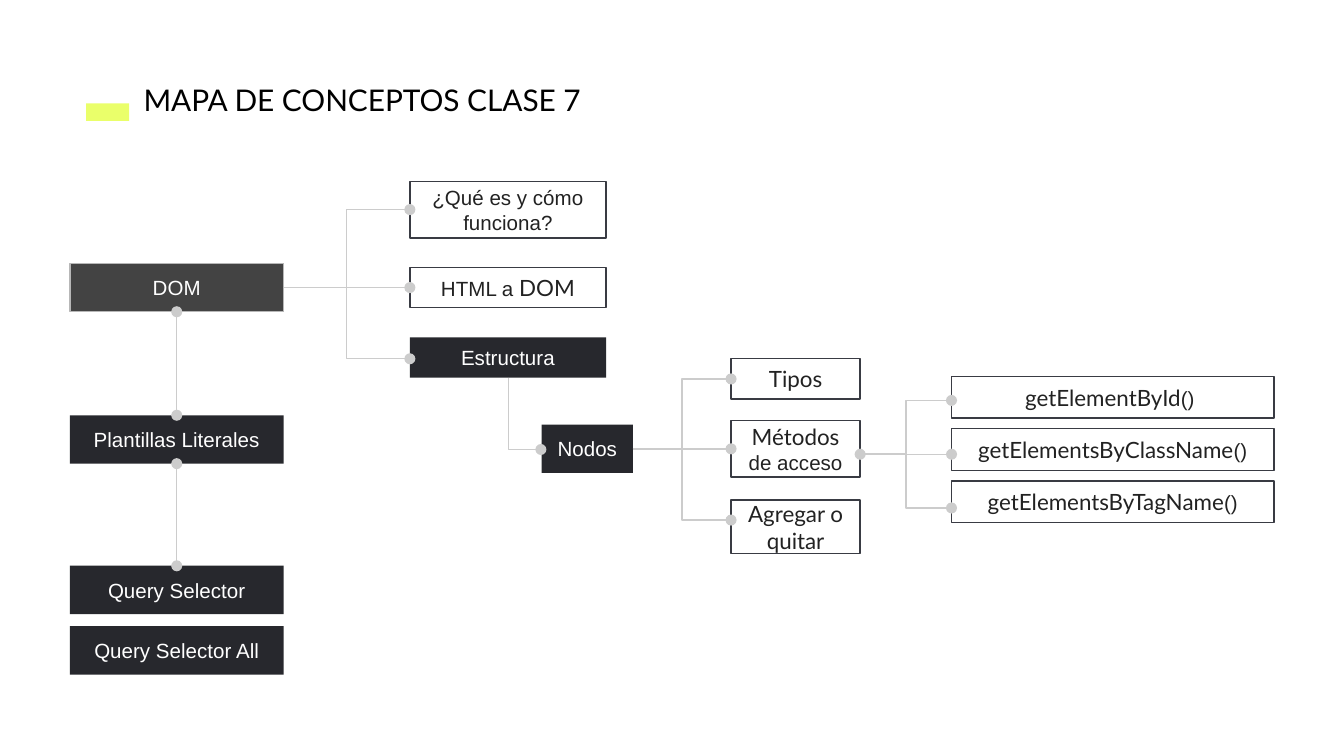
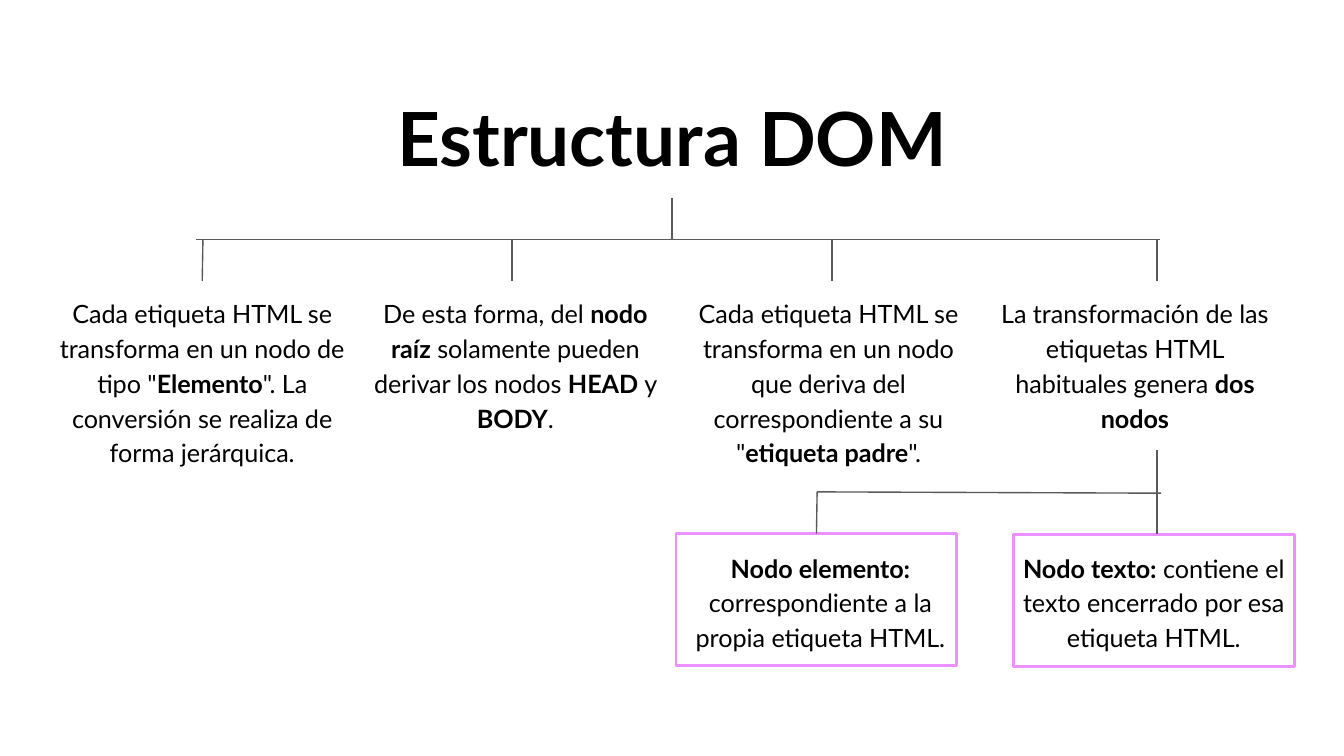
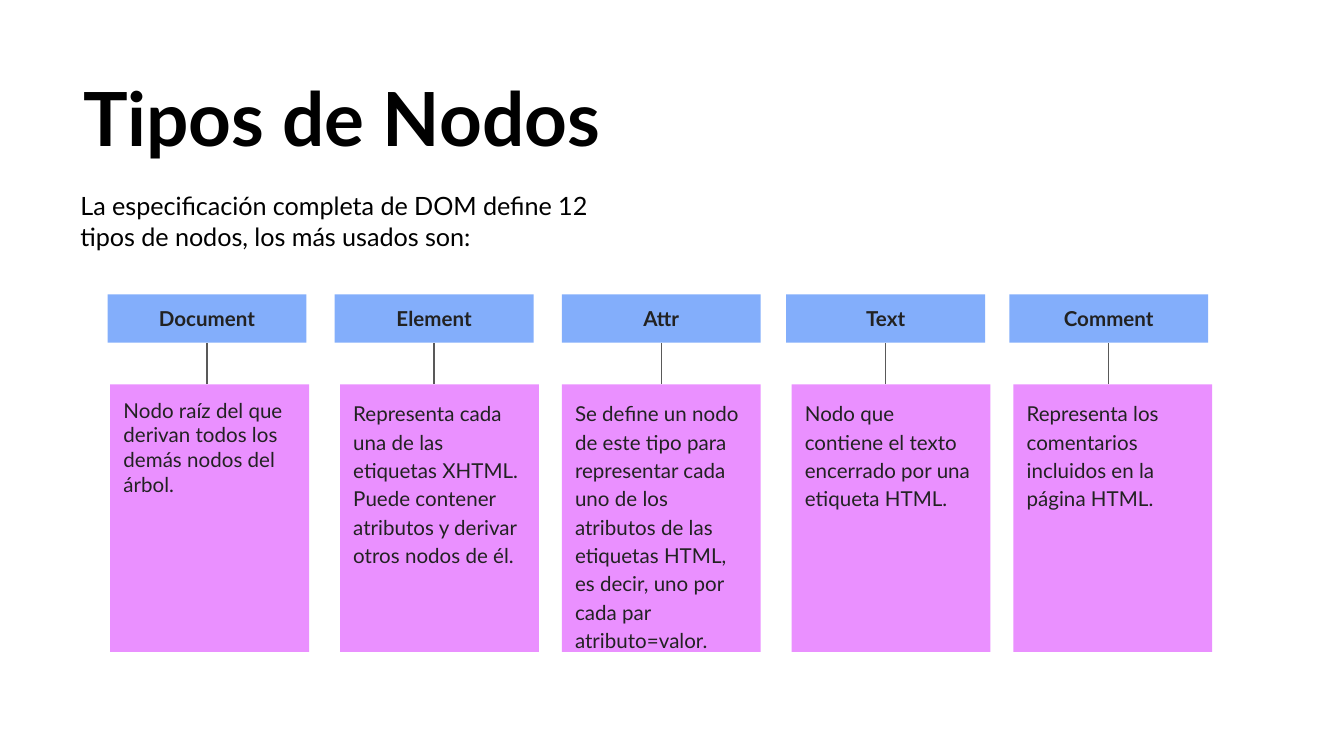
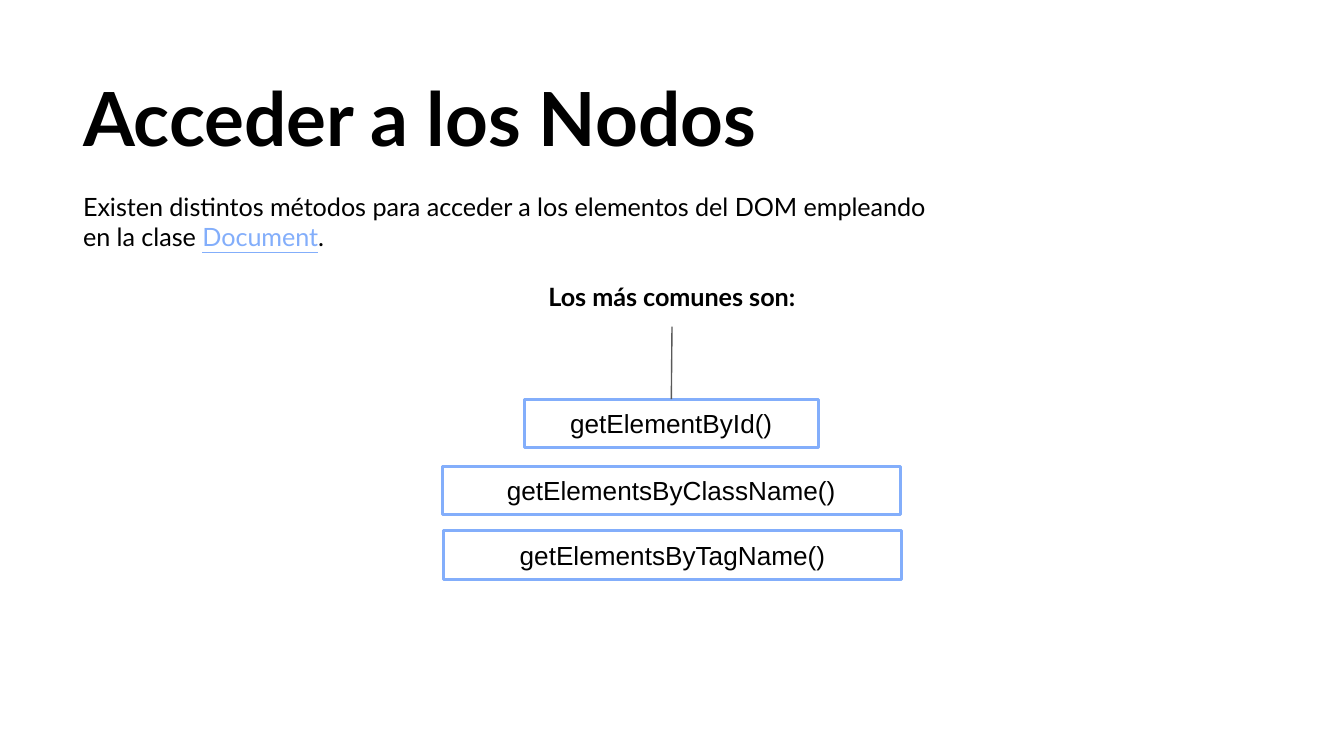
import lxml.etree
import pptx
import pptx.dml.color
import pptx.enum.shapes
import pptx.enum.text
import pptx.oxml.ns
import pptx.util

Inches = pptx.util.Inches
ALIGN = pptx.enum.text.PP_ALIGN
CONNECTOR = pptx.enum.shapes.MSO_CONNECTOR

COLORS = {
    "black": "000000", "white": "FFFFFF", "ink": "222222",
    "dark": "27282D", "gray": "434343", "gray edge": "B7B7B7",
    "edge": "393B43", "link": "CCCCCC", "branch": "595959",
    "lime": "EAFF6A", "pink": "EA90FF", "blue": "83AEFB",
}
TOP, BOTTOM = 0, 2


def rgb(name):
    return pptx.dml.color.RGBColor.from_string(COLORS[name])


def bold_spans(text):
    """Split text at ** marks; every second part is bold."""
    return [(part, {"bold": index % 2 == 1})
            for index, part in enumerate(text.split("**")) if part]


def write_text(frame, spans, para=None, size=11, font="Lato", color="black", bold=False,
               underline=False, align=ALIGN.LEFT, spacing=None, before=None):
    """Write one paragraph; each span is (text, overrides), with \n as a line break."""
    frame.word_wrap = True
    frame.margin_left = frame.margin_right = Inches(0.1)
    frame.margin_top = frame.margin_bottom = Inches(0.1)
    para = para or frame.paragraphs[0]
    para.alignment = align
    if spacing:
        para.line_spacing = spacing
    if before:
        para.space_before = pptx.util.Pt(before)
    base = {"size": size, "font": font, "color": color, "bold": bold, "underline": underline}
    for text, changes in [(spans, {})] if isinstance(spans, str) else spans:
        look = {**base, **changes}
        for index, line in enumerate(text.split("\n")):
            if index:
                para.add_line_break()
            span = para.add_run()
            span.text = line
            span.font.size = pptx.util.Pt(look["size"])
            span.font.name = look["font"]
            span.font.bold = look["bold"]
            span.font.underline = look["underline"]
            span.font.color.rgb = rgb(look["color"])


def add_text(slide, at, spans, grow=True, **style):
    box = slide.shapes.add_textbox(*map(Inches, at))
    write_text(box.text_frame, spans, **style)
    if grow:
        box.text_frame.auto_size = pptx.enum.text.MSO_AUTO_SIZE.SHAPE_TO_FIT_TEXT
    return box


def add_title(slide, text, top=0.51, align=ALIGN.LEFT):
    return add_text(slide, (0.52, top, 8.96, 0.81), text, size=40, bold=True,
                    spacing=0.9, align=align)


def add_box(slide, at, spans=None, fill=None, line=None, width=0.75, middle=True, **style):
    box = slide.shapes.add_shape(pptx.enum.shapes.MSO_SHAPE.RECTANGLE, *map(Inches, at))
    box.shadow.inherit = False
    if fill:
        box.fill.solid()
        box.fill.fore_color.rgb = rgb(fill)
    else:
        box.fill.background()
    if line:
        box.line.color.rgb = rgb(line)
        box.line.width = pptx.util.Pt(width)
    else:
        box.line.fill.background()
    if spans:
        anchor = pptx.enum.text.MSO_ANCHOR
        box.text_frame.vertical_anchor = anchor.MIDDLE if middle else anchor.TOP
        write_text(box.text_frame, spans, **style)
    return box


def add_line(slide, start, end, color="branch", kind=CONNECTOR.STRAIGHT,
             head=False, tail=False, begin_at=None, end_at=None):
    """Draw a connector; begin_at and end_at are (box, side) joins."""
    line = slide.shapes.add_connector(kind, *map(Inches, (*start, *end)))
    line.line.color.rgb = rgb(color)
    line.line.width = pptx.util.Pt(0.75)
    properties = line._element.spPr
    lxml.etree.SubElement(properties, pptx.oxml.ns.qn("a:effectLst"))
    outline = properties.find(pptx.oxml.ns.qn("a:ln"))
    for tag, wanted in (("a:headEnd", head), ("a:tailEnd", tail)):
        if wanted:
            lxml.etree.SubElement(outline, pptx.oxml.ns.qn(tag), type="oval")
    if begin_at:
        line.begin_connect(*begin_at)
    if end_at:
        line.end_connect(*end_at)
    return line


def add_fan(slide, start, right, levels):
    """Elbow connectors from one point to several heights."""
    for level in levels:
        add_line(slide, start, (right, level), color="link", kind=CONNECTOR.ELBOW, tail=True)


def build_concept_map(slide):
    add_box(slide, (0.64, 0.77, 0.32, 0.13), fill="lime")
    add_text(slide, (0.97, 0.51, 3.48, 0.47), "MAPA DE CONCEPTOS CLASE 7", size=16)

    # Main topics, top to bottom
    topic = {"font": "Arial", "color": "white", "align": ALIGN.CENTER}
    dom = add_box(slide, (0.52, 1.96, 1.59, 0.36), "DOM", fill="gray", line="gray edge", **topic)
    literals, selector, _ = [
        add_box(slide, (0.52, top, 1.59, 0.36), text, fill="dark", **topic)
        for top, text in ((3.09, "Plantillas Literales"), (4.21, "Query Selector"),
                          (4.66, "Query Selector All"))]
    add_box(slide, (3.05, 2.51, 1.46, 0.3), "Estructura", fill="dark", **topic)
    add_box(slide, (4.03, 3.16, 0.68, 0.36), "Nodos", fill="dark", **topic)

    # Outlined details
    arial = {"size": 11, "font": "Arial"}
    details = [
        ((3.05, 1.35, 1.46, 0.42), [("¿Qué es y cómo funciona?", arial)]),
        ((3.05, 1.99, 1.46, 0.3), [("HTML a ", arial), ("DOM", {})]),
        ((5.44, 2.67, 0.96, 0.3), "Tipos"),
        ((5.44, 3.13, 0.96, 0.42), [("Métodos", {}), (" de acceso", arial)]),
        ((5.44, 3.72, 0.96, 0.4), "Agregar o quitar"),
    ]
    methods = (("getElementById", "() "), ("getElementsByClassName", "()"),
               ("getElementsByTagName", "()"))
    for row, (name, brackets) in enumerate(methods):
        details.append(((7.08, 2.8 + 0.39 * row, 2.4, 0.31), [(name, {}), (brackets, arial)]))
    for at, spans in details:
        add_box(slide, at, spans, line="edge", size=12, color="ink", align=ALIGN.CENTER)

    # Links
    add_fan(slide, (2.11, 2.14), 3.05, (1.56, 2.14, 2.67))
    add_fan(slide, (4.71, 3.34), 5.44, (2.82, 3.34, 3.87))
    add_fan(slide, (6.4, 3.38), 7.08, (2.98, 3.78))
    add_line(slide, (6.4, 3.38), (7.08, 3.38), color="link", head=True, tail=True)
    for lower, upper in ((literals, dom), (selector, literals)):
        add_line(slide, (0, 0), (0, 0), color="link", head=True, tail=True,
                 begin_at=(lower, TOP), end_at=(upper, BOTTOM))

    # Single bend from Estructura down to Nodos, a flipped elbow turned a quarter
    bend = add_line(slide, (4.17, 2.96), (3.64, 3.2), color="link",
                    kind=CONNECTOR.ELBOW, tail=True)
    properties = bend._element.spPr
    properties.find(pptx.oxml.ns.qn("a:prstGeom")).set("prst", "bentConnector2")
    properties.find(pptx.oxml.ns.qn("a:xfrm")).set("rot", str(270 * 60000))


def build_structure(slide):
    title = add_title(slide, "Estructura DOM", top=0.66, align=ALIGN.CENTER)
    body = {"size": 13.5, "align": ALIGN.CENTER, "spacing": 1.15}

    # Four statements, each with its branch
    columns = (
        (0.32, 1.51, 'Cada etiqueta HTML se transforma en un nodo de tipo "**Elemento**". '
                     'La conversión se realiza de forma jerárquica.'),
        (2.65, 3.81, "De esta forma, del **nodo raíz** solamente pueden derivar los nodos "
                     "**HEAD **y **BODY**."),
        (4.98, 6.19, 'Cada etiqueta HTML se transforma en un nodo que deriva del '
                     'correspondiente a su "**etiqueta padre**".'),
        (7.26, 8.61, "La transformación de las etiquetas HTML habituales genera **dos nodos**"),
    )
    for left, branch, text in columns:
        column = add_text(slide, (left, 2.09, 2.37, 1.43), bold_spans(text), grow=False, **body)
        centered = abs(left + 2.37 / 2 - branch) < 0.01
        add_line(slide, (branch, 2.09), (branch, 1.78),
                 begin_at=(column, TOP) if centered else None)
    add_line(slide, (1.46, 1.78), (8.63, 1.78))
    add_line(slide, (5, 1.78), (5, 1.47), end_at=(title, BOTTOM))

    # The two nodes
    nodes = (
        (5.03, 3.97, 4.98, "**Nodo elemento: **correspondiente a la propia etiqueta HTML."),
        (7.54, 3.98, 7.46, "**Nodo texto:** contiene el texto encerrado por esa etiqueta HTML."),
    )
    frames = []
    for left, top, text_left, text in nodes:
        frames.append(add_box(slide, (left, top, 2.09, 0.98), line="pink", width=1.5))
        add_text(slide, (text_left, 3.98, 2.25, 0.95), bold_spans(text), **body)
    add_line(slide, (6.08, 3.66), (8.64, 3.67))
    add_line(slide, (6.08, 3.97), (6.08, 3.66), begin_at=(frames[0], TOP))
    add_line(slide, (8.61, 3.97), (8.61, 3.66))
    add_line(slide, (8.61, 3.67), (8.61, 3.35))


def build_node_types(slide):
    add_title(slide, "Tipos de Nodos")
    add_text(slide, (0.5, 1.32, 6.68, 0.66), "La especificación completa de DOM define 12\n"
             "tipos de nodos, los más usados son:", size=13.5)

    # Header left, card left, name, line spacing, description
    types = (
        (0.8, 0.82, "Document", None,
         "Nodo raíz del que derivan todos los demás nodos del árbol."),
        (2.49, 2.53, "Element", 1.15, "Representa cada una de las etiquetas XHTML. "
         "Puede contener atributos y derivar otros nodos de él."),
        (4.18, 4.18, "Attr", 1.15, "Se define un nodo de este tipo para representar cada uno "
         "de los atributos de las etiquetas HTML, es decir, uno por cada par atributo=valor."),
        (5.85, 5.89, "Text", 1.15,
         "Nodo que contiene el texto encerrado por una etiqueta HTML."),
        (7.51, 7.54, "Comment", 1.15,
         "Representa los comentarios incluidos en la página HTML."),
    )
    width = 1.48
    for left, card_left, name, spacing, text in types:
        header = add_box(slide, (left, 2.19, width, 0.36), name, fill="blue",
                         color="ink", bold=True, align=ALIGN.CENTER)
        center = left + width / 2
        add_line(slide, (center, 2.86), (center, 2.55), end_at=(header, BOTTOM))
        add_box(slide, (card_left, 2.86, width, 1.99), text, fill="pink", middle=False,
                color="ink", spacing=spacing)


def build_node_access(slide):
    add_title(slide, "Acceder a los Nodos")
    intro = add_text(slide, (0.52, 1.32, 8.96, 1.11), [
        ("Existen distintos métodos para acceder a los elementos del DOM empleando\n"
         "en la clase ", {}),
        ("Document", {"color": "blue", "underline": True}), (".", {})], size=13.5)
    frame = intro.text_frame
    write_text(frame, "Los más comunes son:", para=frame.add_paragraph(), size=13.5,
               bold=True, align=ALIGN.CENTER, before=16.2)

    # Method boxes
    methods = ((3.9, 2.97, 2.19, "getElementById()"),
               (3.29, 3.47, 3.41, "getElementsByClassName()"),
               (3.3, 3.95, 3.41, "getElementsByTagName()"))
    boxes = [add_box(slide, (left, top, width, 0.36), text, line="blue", width=1.5,
                     size=14, font="Arial", align=ALIGN.CENTER)
             for left, top, width, text in methods]
    add_line(slide, (5, 2.43), (5, 2.97), begin_at=(intro, BOTTOM), end_at=(boxes[0], TOP))


def main():
    deck = pptx.Presentation()
    deck.slide_width = Inches(10)
    deck.slide_height = Inches(10 * 9 / 16)
    for build in (build_concept_map, build_structure, build_node_types, build_node_access):
        build(deck.slides.add_slide(deck.slide_layouts[6]))
    deck.save("out.pptx")


if __name__ == "__main__":
    main()
